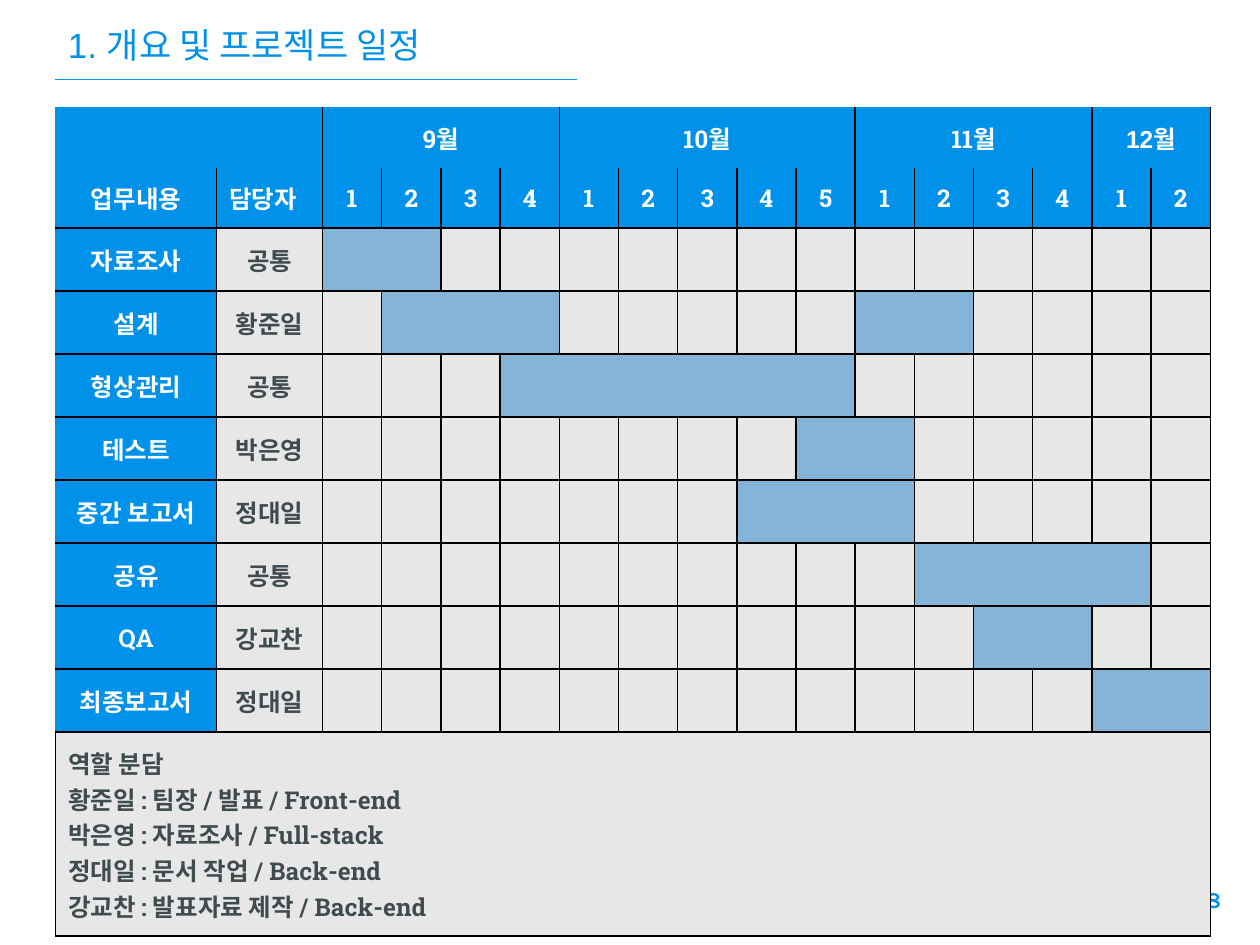
import pptx
import pptx.dml.color
import pptx.enum.shapes
import pptx.enum.text
import pptx.oxml.ns
import pptx.util
from lxml import etree

Inches = pptx.util.Inches
Pt = pptx.util.Pt
Align = pptx.enum.text.PP_ALIGN
Anchor = pptx.enum.text.MSO_ANCHOR
RGBColor = pptx.dml.color.RGBColor
qn = pptx.oxml.ns.qn

BLUE = RGBColor(0x00, 0x91, 0xEA)
BAR = RGBColor(0x85, 0xB4, 0xD9)
GREY = RGBColor(0xE7, 0xE7, 0xE7)
DARK = RGBColor(0x40, 0x4B, 0x50)
WHITE = RGBColor(0xFF, 0xFF, 0xFF)
BLACK = RGBColor(0x00, 0x00, 0x00)

SERIF = "Roboto Slab"
MONTHS = [("9월", 4, SERIF), ("10월", 5, SERIF), ("11월", 4, SERIF), ("12월", 2, "Arial")]
TASKS = [
    ("자료조사", "공통", [(0, 2)]),
    ("설계", "황준일", [(1, 3), (9, 2)]),
    ("형상관리", "공통", [(3, 6)]),
    ("테스트", "박은영", [(8, 2)]),
    ("중간 보고서", "정대일", [(7, 3)]),
    ("공유", "공통", [(10, 4)]),
    ("QA", "강교찬", [(11, 2)]),
    ("최종보고서", "정대일", [(13, 2)]),
]
ROLES = [
    "역할 분담",
    "황준일 : 팀장 / 발표 / Front-end",
    "박은영 : 자료조사 / Full-stack",
    "정대일 : 문서 작업 / Back-end",
    "강교찬 : 발표자료 제작 / Back-end",
]
FIRST_WEEK = 2
WEEKS = sum(weeks for _, weeks, _ in MONTHS)
COLUMN_WIDTHS = [1.28, 0.84] + [0.47] * WEEKS
ROW_HEIGHTS = [0.48] * 2 + [0.5] * len(TASKS) + [1.62]


def write_text(frame, lines, size, color, font, bold=False, align=Align.LEFT):
    frame.text = "\n".join(lines)
    for para in frame.paragraphs:
        para.alignment = align
        para.font.size = Pt(size)
        para.font.name = font
        para.font.bold = bold
        para.font.color.rgb = color


def add_text_box(page, left, top, width, height, text, anchor, **style):
    box = page.shapes.add_textbox(Inches(left), Inches(top), Inches(width), Inches(height))
    frame = box.text_frame
    frame.word_wrap = True
    frame.vertical_anchor = anchor
    frame.margin_left = frame.margin_right = Inches(0.1)
    frame.margin_top = frame.margin_bottom = Inches(0.1)
    write_text(frame, [text], **style)


def add_rule(page, left, right, y):
    rule = page.shapes.add_connector(
        pptx.enum.shapes.MSO_CONNECTOR.STRAIGHT,
        Inches(left), Inches(y), Inches(right), Inches(y))
    rule.line.color.rgb = BLUE
    rule.line.width = Pt(1)
    etree.SubElement(rule._element.spPr, qn("a:effectLst"))


def set_borders(cell, sides):
    properties = cell._tc.get_or_add_tcPr()
    for position, side in enumerate("LRTB"):
        line = etree.Element(qn(f"a:ln{side}"), w=str(Pt(1)))
        if side in sides:
            fill = etree.SubElement(line, qn("a:solidFill"))
            etree.SubElement(fill, qn("a:srgbClr"), val=str(BLACK))
        else:
            etree.SubElement(line, qn("a:noFill"))
        properties.insert(position, line)


def style_cell(cell, fill, sides):
    cell.fill.solid()
    cell.fill.fore_color.rgb = fill
    set_borders(cell, sides)


def write_cell(cell, lines, color, font=SERIF, align=Align.CENTER):
    cell.vertical_anchor = Anchor.MIDDLE
    cell.margin_left = cell.margin_right = Inches(0.1)
    cell.margin_top = cell.margin_bottom = Inches(0.1)
    write_text(cell.text_frame, lines, 14, color, font, True, align)


def merge_across(table, row, column, count):
    cell = table.cell(row, column)
    cell.merge(table.cell(row, column + count - 1))
    return cell


def style_grid(table):
    for row in range(len(ROW_HEIGHTS)):
        for column in range(len(COLUMN_WIDTHS)):
            if row == 0:
                fill, sides = BLUE, "LR" if column >= FIRST_WEEK else "R"
            elif row == 1:
                fill, sides = BLUE, "LRB" if column else "RB"
            elif column == 0 and row < len(ROW_HEIGHTS) - 1:
                fill, sides = BLUE, "RTB"
            else:
                fill, sides = GREY, "LRTB"
            style_cell(table.cell(row, column), fill, sides)


def fill_header(table):
    merge_across(table, 0, 0, FIRST_WEEK)
    write_cell(table.cell(1, 0), ["업무내용"], WHITE)
    write_cell(table.cell(1, 1), ["담당자"], WHITE, align=Align.LEFT)
    column = FIRST_WEEK
    for month, weeks, font in MONTHS:
        write_cell(merge_across(table, 0, column, weeks), [month], WHITE, font)
        for week in range(weeks):
            write_cell(table.cell(1, column + week), [str(week + 1)], WHITE)
        column += weeks


def fill_tasks(table):
    for row, (task, owner, bars) in enumerate(TASKS, start=2):
        write_cell(table.cell(row, 0), [task], WHITE)
        write_cell(table.cell(row, 1), [owner], DARK)
        for start, weeks in bars:
            bar = merge_across(table, row, FIRST_WEEK + start, weeks)
            bar.fill.fore_color.rgb = BAR


def add_schedule(page):
    frame = page.shapes.add_table(
        len(ROW_HEIGHTS), len(COLUMN_WIDTHS), Inches(0.44), Inches(0.85),
        Inches(sum(COLUMN_WIDTHS)), Inches(sum(ROW_HEIGHTS)))
    table = frame.table
    table.first_row = table.horz_banding = False
    for column, width in zip(table.columns, COLUMN_WIDTHS):
        column.width = Inches(width)
    for row, height in zip(table.rows, ROW_HEIGHTS):
        row.height = Inches(height)
    style_grid(table)
    fill_header(table)
    fill_tasks(table)
    roles = merge_across(table, len(ROW_HEIGHTS) - 1, 0, len(COLUMN_WIDTHS))
    write_cell(roles, ROLES, DARK, align=Align.LEFT)


def main():
    deck = pptx.Presentation()
    deck.slide_width = Inches(10)
    deck.slide_height = Inches(7.5)
    page = deck.slides.add_slide(deck.slide_layouts[6])
    add_text_box(page, 9.19, 6.93, 0.6, 0.57, "8", Anchor.TOP,
                 size=13, color=BLUE, font="Karla", bold=True, align=Align.RIGHT)
    add_text_box(page, 0.44, 0.07, 8.28, 0.55, "1. 개요 및 프로젝트 일정", Anchor.BOTTOM,
                 size=20, color=BLUE, font="Arial")
    add_rule(page, 0.44, 4.58, 0.63)
    add_schedule(page)
    deck.save("out.pptx")


if __name__ == "__main__":
    main()
